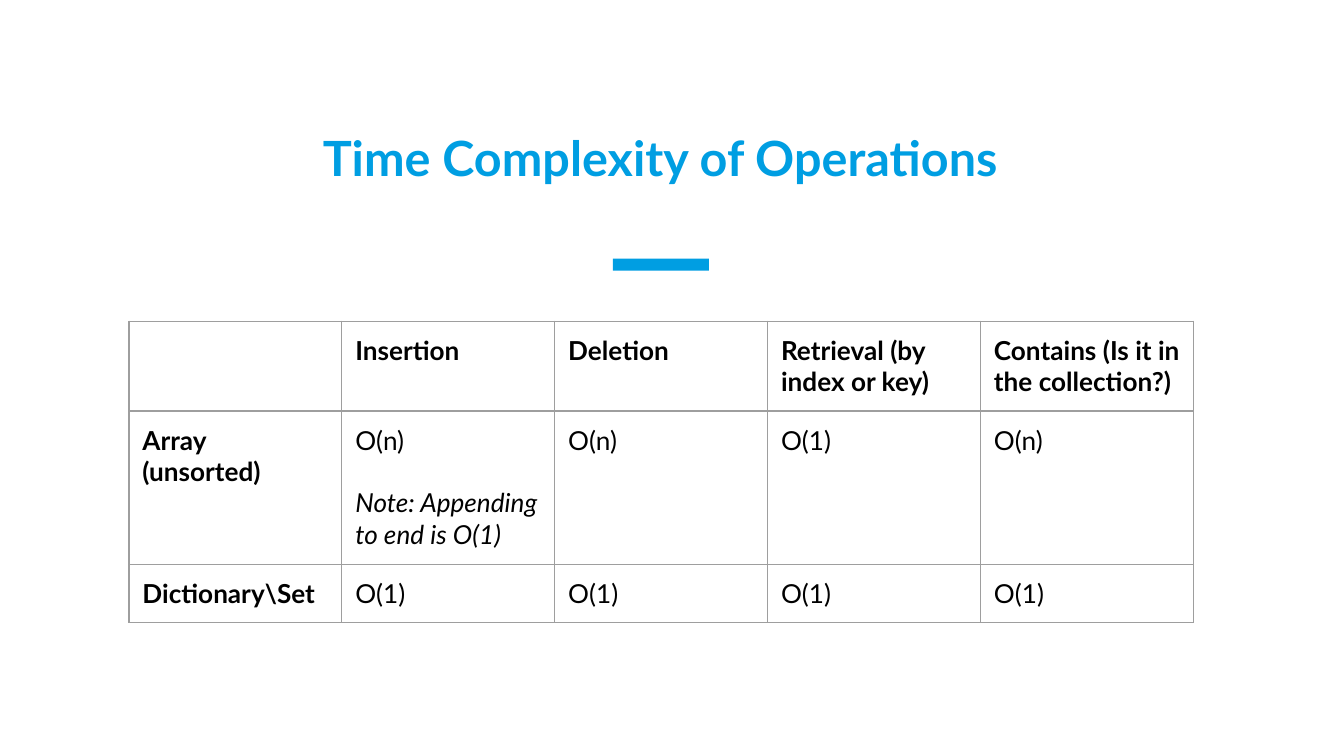
from lxml import etree
from pptx import Presentation
from pptx.dml.color import RGBColor
from pptx.enum.shapes import MSO_SHAPE
from pptx.enum.text import MSO_ANCHOR, MSO_AUTO_SIZE, PP_ALIGN
from pptx.oxml.ns import qn
from pptx.util import Inches, Pt

RECT = MSO_SHAPE.RECTANGLE
TOP = MSO_ANCHOR.TOP
FIXED = MSO_AUTO_SIZE.NONE
LEFT, MID = PP_ALIGN.LEFT, PP_ALIGN.CENTER

WIDE = 10
HIGH = WIDE * 9 / 16
PAD = Inches(0.1)
SLIM = Inches(0.09)
FONT = "Lato"
HUES = {"paper": "FFFFFF", "accent": "009EE2", "ink": "000000", "rule": "9E9E9E"}
SIDES = ("lnL", "lnR", "lnT", "lnB")

SPAN = 7.92
ROWS = [0.66, 1.14, 0.43]
NOTE = "Note: Appending to end is O(1)"
HEAD = ["", "Insertion", "Deletion", "Retrieval (by index or key)",
        "Contains (Is it in the collection?)"]
DATA = [
    HEAD,
    ["Array (unsorted)", "O(n)", "O(n)", "O(1)", "O(n)"],
    ["Dictionary\\Set"] + ["O(1)"] * 4,
]


def tint(name):
    return RGBColor.from_string(HUES[name])


def write(para, text, size=14, hue="ink", bold=False, slant=False, align=LEFT, gap=0):
    para.alignment = align
    para.space_before = Pt(gap)
    run = para.add_run()
    run.text = text
    font = run.font
    font.name, font.size = FONT, Pt(size)
    font.bold, font.italic = bold, slant
    font.color.rgb = tint(hue)


def inset(item):
    item.margin_left = item.margin_top = item.margin_bottom = PAD
    item.margin_right = SLIM
    item.vertical_anchor = TOP


class Deck:
    def __init__(self):
        self.file = Presentation()
        self.file.slide_width = Inches(WIDE)
        self.file.slide_height = Inches(HIGH)
        self.slide = self.file.slides.add_slide(self.file.slide_layouts[5])
        fill = self.slide.background.fill
        fill.solid()
        fill.fore_color.rgb = tint("paper")

    def place(self, *area):
        wide, high = self.file.slide_width, self.file.slide_height
        sizes = (wide, high, wide, high)
        return [round(part * size / 100) for part, size in zip(area, sizes)]

    def title(self, text, *area):
        item = self.slide.shapes.title
        item.left, item.top, item.width, item.height = self.place(*area)
        frame = item.text_frame
        frame.word_wrap = True
        frame.auto_size = FIXED
        inset(frame)
        frame.margin_right = PAD
        write(frame.paragraphs[0], text, size=26, hue="accent", bold=True, align=MID)

    def bar(self, *area):
        item = self.slide.shapes.add_shape(RECT, *self.place(*area))
        item.shadow.inherit = False
        item.fill.solid()
        item.fill.fore_color.rgb = tint("accent")
        item.line.fill.background()

    def edge(self, cell):
        props = cell._tc.get_or_add_tcPr()
        for spot, side in enumerate(SIDES):
            line = etree.Element(qn(f"a:{side}"), w=str(Pt(0.75)))
            fill = etree.SubElement(line, qn("a:solidFill"))
            etree.SubElement(fill, qn("a:srgbClr"), val=HUES["rule"])
            props.insert(spot, line)

    def table(self, data, x, y):
        area = self.place(x, y, SPAN / WIDE * 100, sum(ROWS) / HIGH * 100)
        grid = self.slide.shapes.add_table(len(data), len(HEAD), *area).table
        grid.first_row = grid.horz_banding = False
        for col in grid.columns:
            col.width = Inches(SPAN / len(HEAD))
        for row, height in zip(grid.rows, ROWS):
            row.height = Inches(height)
        for r, line in enumerate(data):
            for c, text in enumerate(line):
                cell = grid.cell(r, c)
                inset(cell)
                cell.fill.background()
                self.edge(cell)
                if text:
                    para = cell.text_frame.paragraphs[0]
                    write(para, text, bold=r == 0 or c == 0)
        return grid


def main():
    deck = Deck()
    deck.title("Time Complexity of Operations", 20.8, 15.1, 56.7, 11.2)
    deck.bar(45.6, 34.2, 7.15, 1.6)
    grid = deck.table(DATA, 9.6, 42.5)
    para = grid.cell(1, 1).text_frame.add_paragraph()
    write(para, NOTE, slant=True, gap=16.8)
    deck.file.save("out.pptx")


if __name__ == "__main__":
    main()
